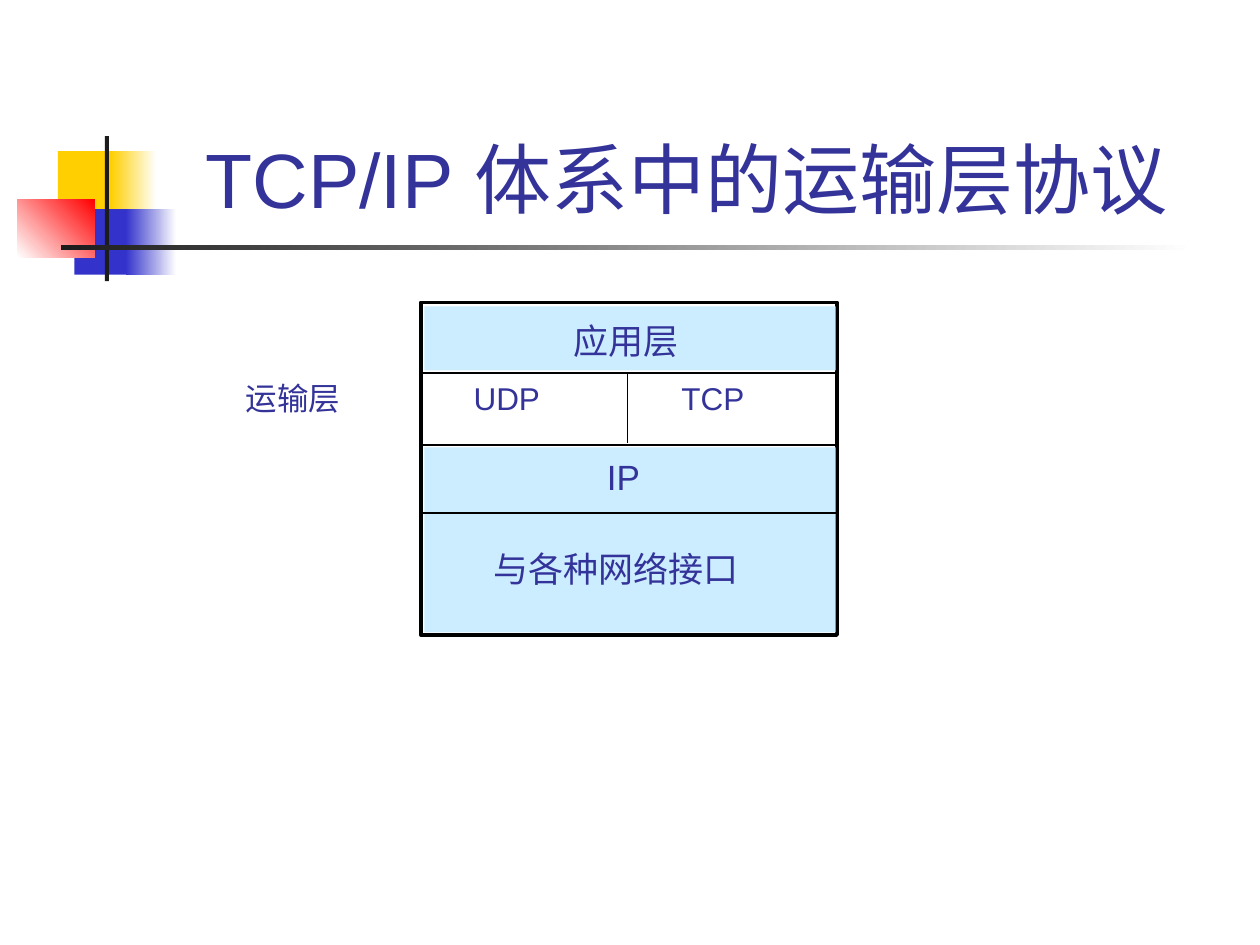
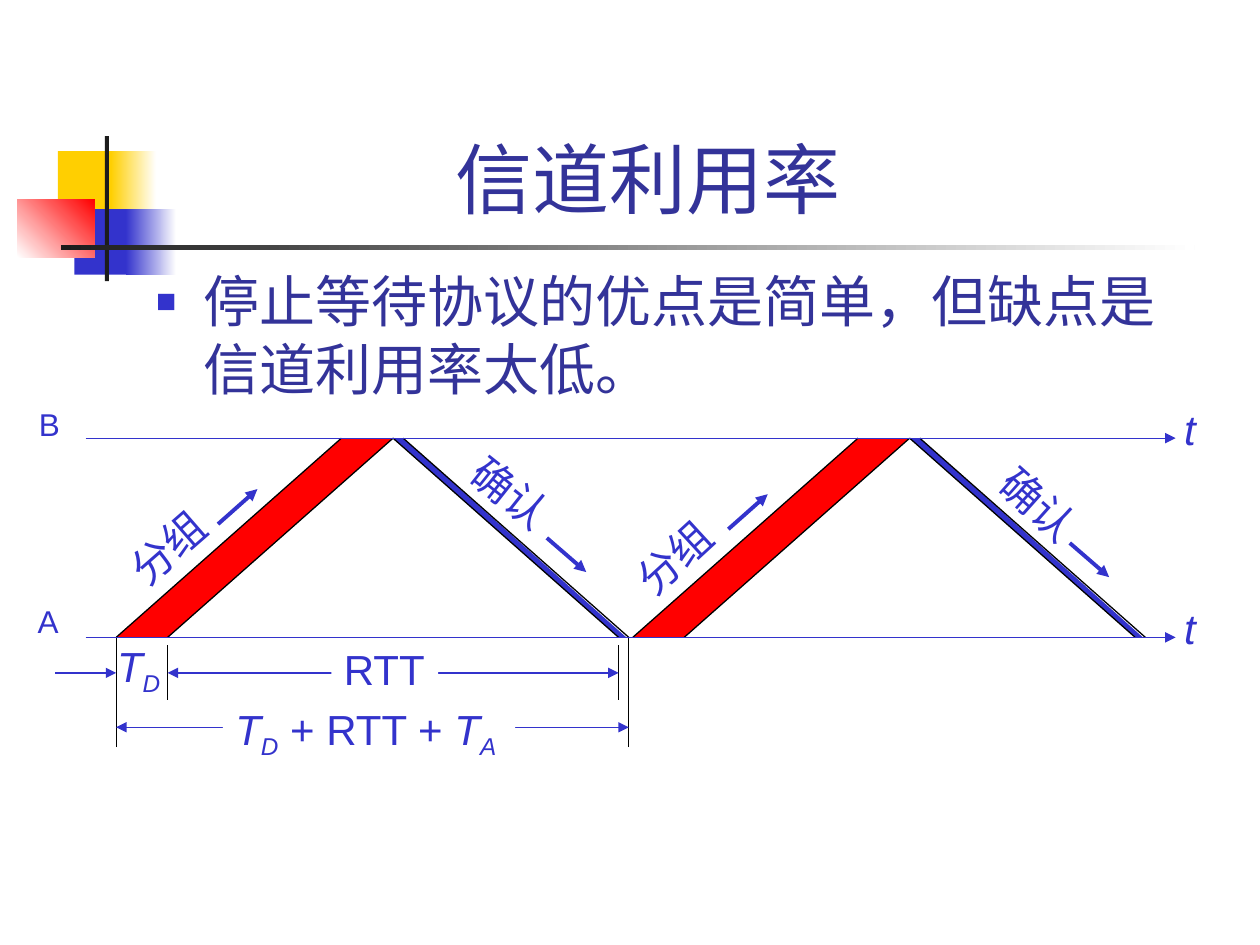
"""Builds two slides on transport protocols and channel use."""
from lxml import etree
from pptx import Presentation
from pptx import util as u
from pptx.dml import color
from pptx.enum import shapes, text
from pptx.oxml import ns

Pt = u.Pt
NAVY, BLUE, PALE = "333399", "3333CC", "CCECFF"
GOLD, RED, WHITE, BLACK, DARK = "FFCF01", "FF0000", "FFFFFF", "000000", "1C1C1C"


def rgb(code):
    return color.RGBColor.from_string(code)


def sub(parent, tag, **attrs):
    node = etree.SubElement(parent, ns.qn(tag))
    for key, value in attrs.items():
        node.set(key, value)
    return node


def write(frame, parts, size=24, ink=BLUE, align=text.PP_ALIGN.LEFT,
          anchor=text.MSO_ANCHOR.TOP, bullet=None, slant=False):
    frame.word_wrap = True
    frame.auto_size = text.MSO_AUTO_SIZE.NONE
    frame.vertical_anchor = anchor
    para = frame.paragraphs[0]
    para.alignment = align
    if bullet:
        props = para._p.get_or_add_pPr()
        props.set("marL", str(Pt(27)))
        props.set("indent", str(Pt(-27)))
        sub(sub(props, "a:buClr"), "a:srgbClr", val=BLUE)
        sub(props, "a:buSzPct", val="60000")
        sub(props, "a:buFont", typeface="Arial")
        sub(props, "a:buChar", char=bullet)
    if isinstance(parts, str):
        parts = [(parts, "i" if slant else "")]
    for words, style in parts:
        run = para.add_run()
        run.text = words
        font = run.font
        font.name, font.size = "Arial", Pt(size)
        font.color.rgb = rgb(ink)
        font.italic = style in ("i", "sub")
        if style == "sub":
            run._r.get_or_add_rPr().set("baseline", "-25000")


class Deck:
    """Holds the shared style and the slide being drawn."""

    def __init__(self):
        self.show = Presentation()
        self.show.slide_width, self.show.slide_height = Pt(720), Pt(540)

    def start(self, title, width):
        self.slide = self.show.slides.add_slide(self.show.slide_layouts[5])
        self.items = self.slide.shapes
        head = self.items.title
        head.left, head.top = Pt(90.7), Pt(16.6)
        head.width, head.height = Pt(width), Pt(115.2)
        write(head.text_frame, title, size=44, ink=NAVY,
              align=text.PP_ALIGN.CENTER, anchor=text.MSO_ANCHOR.BOTTOM)
        self.motif()

    def motif(self):
        self.rect(33.1, 86.4, 34.6, 37.4, GOLD)
        self.rect(63.4, 86.4, 25.9, 37.4, (GOLD, WHITE))
        self.rect(42.5, 119.5, 33.1, 37.4, BLUE)
        self.rect(72, 119.5, 28.8, 37.4, (BLUE, WHITE))
        self.rect(10, 113.8, 44, 33.1, (WHITE, RED), angle=45)
        self.rect(59.9, 77.8, 2.4, 82.8, DARK)
        self.rect(34.7, 140.2, 648, 2.5, (DARK, WHITE))

    def rect(self, x, y, w, h, fill, angle=0, edge=None):
        box = self.items.add_shape(shapes.MSO_SHAPE.RECTANGLE,
                                   Pt(x), Pt(y), Pt(w), Pt(h))
        self.paint(box, fill, angle, edge)
        return box

    def paint(self, shape, fill, angle=0, edge=None):
        shape.shadow.inherit = False
        if isinstance(fill, tuple):
            shape.fill.gradient()
            shape.fill.gradient_angle = angle
            for stop, code in zip(shape.fill.gradient_stops, fill):
                stop.color.rgb = rgb(code)
        else:
            shape.fill.solid()
            shape.fill.fore_color.rgb = rgb(fill)
        if edge:
            shape.line.color.rgb = rgb(BLACK)
            shape.line.width = Pt(edge)
        else:
            shape.line.fill.background()

    def label(self, parts, x, y, w, h=36, turn=0, fill=None, **style):
        if fill:
            box = self.rect(x, y, w, h, fill)
        else:
            box = self.items.add_textbox(Pt(x), Pt(y), Pt(w), Pt(h))
        box.rotation = turn
        box.text_frame.margin_right = 0
        write(box.text_frame, parts, **style)

    def line(self, x1, y1, x2, y2, ink=BLACK, width=0.75, ends=()):
        link = self.items.add_connector(shapes.MSO_CONNECTOR.STRAIGHT,
                                        Pt(x1), Pt(y1), Pt(x2), Pt(y2))
        link.line.color.rgb = rgb(ink)
        link.line.width = Pt(width)
        for end in ends:
            sub(link.line._get_or_add_ln(), f"a:{end}End", type="triangle")
        sub(link._element.spPr, "a:effectLst")

    def arrow(self, x1, y1, x2, y2, width=0.75, both=False):
        self.line(x1, y1, x2, y2, BLUE, width, ("head", "tail") if both else ("tail",))

    def band(self, points, fill):
        spots = [(Pt(x), Pt(y)) for x, y in points]
        pen = self.items.build_freeform(*spots[0])
        pen.add_line_segments(spots[1:], close=True)
        self.paint(pen.convert_to_shape(), fill)


def stack(deck):
    deck.start("TCP/IP 体系中的运输层协议 ", 613.4)
    left, right = 240.5, 478.3
    deck.rect(left, 172.8, right - left, 190.1, WHITE, edge=2)
    for y in (213.1, 254.2):
        deck.line(left, y, right, y, width=1)
    deck.rect(242.6, 175, 235, 36.7, PALE)
    deck.rect(242.6, 255.6, 235, 105.8, PALE)
    deck.line(358.6, 213.8, 358.6, 253.4, width=1)
    for name, x, w in (("TCP", 382.3, 70), ("UDP", 263.5, 73), ("运输层", 133.2, 98)):
        deck.label(name, x, 213.1, w, 40, size=18, ink=NAVY)
    deck.label("IP", 339.8, 257, 33, 31, fill=PALE, size=20, ink=NAVY)
    deck.label("应用层", 320.4, 179.3, 74, 31, size=20, ink=NAVY)
    deck.label("与各种网络接口", 275, 309.6, 181, 31, size=20, ink=NAVY)
    deck.line(left, 293, right, 293, width=1)


def timing(deck):
    deck.start("信道利用率 ", 569.5)
    deck.label("停止等待协议的优点是简单，但缺点是信道利用率太低。",
               82.1, 149, 604, 96.5, size=32, ink=NAVY, bullet="■")
    top, base = 250.4, 364.2
    send, sent, back, done = 66.4, 95.8, 353.5, 359.3
    rise, peak, fall = 195.1, 224.6, 230.4
    for x in (send, done):
        deck.line(x, 427, x, base)
    for x in (sent, back):
        deck.line(x, 368.6, x, 400.3)
    deck.arrow(sent, 384.5, back, 384.5, both=True)
    deck.arrow(31.7, 384.5, send, 384.5)
    deck.arrow(send, 415.6, done, 415.6, both=True)
    delay = [("T", "i"), ("D", "sub")]
    deck.label(delay, 59.8, 362.2, 41)
    deck.label("RTT", 189.4, 364.3, 61, fill=WHITE)
    deck.label(delay + [(" + RTT + ", ""), ("T", "i"), ("A", "sub")],
               127.4, 398.2, 167, fill=WHITE)
    for step in (0, 295.2):
        deck.band([(x + step, y) for x, y in (
            (peak, top), (back, base), (done - 1.4, base), (fall, top))], BLUE)
        deck.band([(x + step, y) for x, y in (
            (send, base), (rise, top), (peak, top), (sent, base))], RED)
        for low, high in ((send, rise), (sent, peak), (back, peak), (done, fall)):
            deck.line(low + step, base, high + step, top)
    for word, x, y, turn in (("分组", 64.8, 294.5, 318.9), ("确认", 260.6, 263.5, 38.5),
                             ("分组", 354.2, 300.2, 317.4), ("确认", 562.3, 270, 41.8)):
        deck.label(word, x, y, 62.6, turn=turn)
    for x, y, drop in ((124.6, 299.5, -20), (312.5, 307.4, 19.5),
                       (416.2, 302.4, -20), (611.3, 310.3, 19.5)):
        deck.arrow(x, y, x + 22.5, y + drop, width=2.25)
    for name, x, y, axis in (("B", 15.1, 228.2, top), ("A", 14.4, 340.6, base)):
        deck.label(name, x, y, 33, 41, size=18)
        deck.label("t", 669.6, axis - 23.6, 21, slant=True)
        deck.arrow(49, axis, 671.8, axis)


def main():
    deck = Deck()
    stack(deck)
    timing(deck)
    deck.show.save("out.pptx")


if __name__ == "__main__":
    main()
